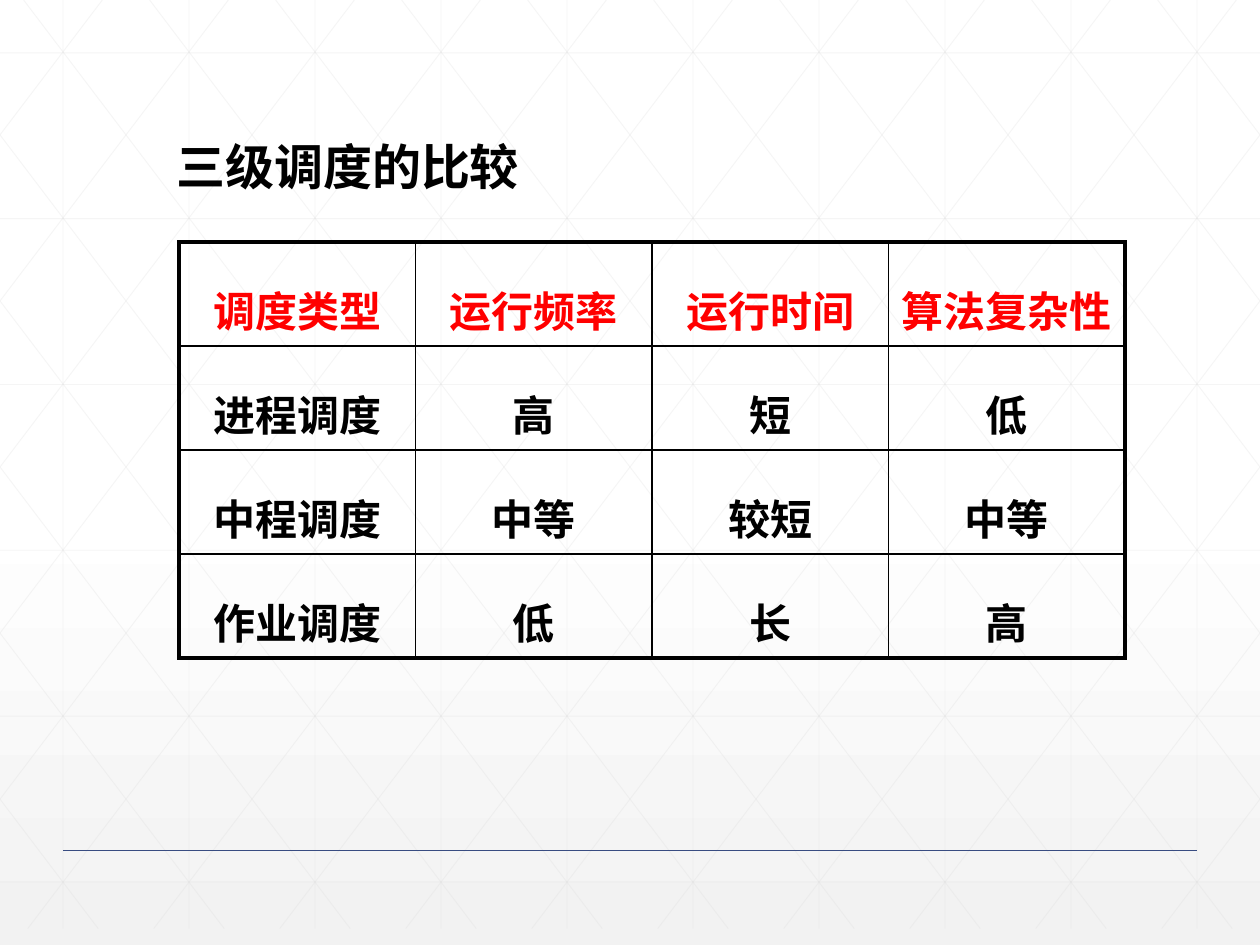
"""Build a slide with a table comparing the three levels of scheduling."""
from pptx import Presentation
from pptx.dml.color import RGBColor
from pptx.enum.shapes import MSO_CONNECTOR as Connector
from pptx.enum.text import MSO_ANCHOR as Anchor, MSO_AUTO_SIZE as AutoSize, PP_ALIGN as Align
from pptx.oxml import parse_xml
from pptx.oxml.ns import nsdecls, qn
from pptx.util import Pt

NS = nsdecls("a")
CJK = "Noto Sans CJK SC"
rgb = RGBColor.from_string


def write(frame, text, size, color="000000", font=CJK, align=Align.LEFT):
    frame.word_wrap = True
    frame.vertical_anchor = Anchor.MIDDLE
    paragraph = frame.paragraphs[0]
    paragraph.alignment = align
    paragraph.line_spacing = 1.5
    run = paragraph.add_run()
    run.text = text
    run.font.size, run.font.bold, run.font.name = Pt(size), True, font
    run.font.color.rgb = rgb(color)
    run.font._element.find(qn("a:latin")).addnext(parse_xml(f'<a:ea {NS} typeface="{CJK}"/>'))


def rule(x1, y1, x2, y2, color="D9D9D9", width=0.5, alpha=25):
    line = slide.shapes.add_connector(Connector.STRAIGHT, Pt(x1), Pt(y1), Pt(x2), Pt(y2))
    line.line.color.rgb = rgb(color)
    line.line.width = Pt(width)
    properties = line._element.spPr
    properties.append(parse_xml(f"<a:effectLst {NS}/>"))
    tint = properties.find(".//" + qn("a:srgbClr"))
    tint.append(parse_xml(f'<a:alpha {NS} val="{alpha * 1000}"/>'))


prs = Presentation()
prs.slide_width, prs.slide_height = Pt(720), Pt(540)
slide = prs.slides.add_slide(prs.slide_layouts[5])

backdrop = slide.background.fill
backdrop.gradient()
backdrop.gradient_angle = 270
for stop, position, color in zip(backdrop.gradient_stops, (0.53, 1), ("FFFFFF", "F2F2F2")):
    stop.position = position
    stop.color.rgb = rgb(color)

grid_width, grid_height, step = 720, 530.6, 72
diagonal_run = 402.6
slope = grid_height / diagonal_run
for column in range(10):
    x = 36 + column * step
    rule(x, 0, x, grid_height)
for row in range(6):
    y = 30.2 + row * 94.75
    rule(0, y, grid_width, y)
for diagonal in range(-5, 10):
    origin = 13.5 + diagonal * step
    start, end = max(origin, 0), min(origin + diagonal_run, grid_width)
    top, bottom = (start - origin) * slope, (end - origin) * slope
    rule(start, top, end, bottom)
    rule(grid_width - start, top, grid_width - end, bottom)

rule(36, 486, 684, 486, color="384C81", width=1, alpha=100)

schedulers = [
    ["调度类型", "运行频率", "运行时间", "算法复杂性"],
    ["进程调度", "高", "短", "低"],
    ["中程调度", "中等", "较短", "中等"],
    ["作业调度", "低", "长", "高"],
]
last = len(schedulers) - 1
comparison = slide.shapes.add_table(4, 4, Pt(102.2), Pt(138.2), Pt(540.8), Pt(174)).table
comparison.first_row = comparison.horz_banding = False
for column in comparison.columns:
    column.width = Pt(135.2)
for r, (row, values) in enumerate(zip(comparison.rows, schedulers)):
    row.height = Pt(41.7 if r == last else 39.6)
    for c, value in enumerate(values):
        cell = comparison.cell(r, c)
        cell.fill.background()
        write(cell.text_frame, value, 24, "000000" if r else "FF0000", align=Align.CENTER)
        outer_edges = {"L": c == 0, "R": c == last, "T": r == 0, "B": r == last}
        for order, (side, outer) in enumerate(outer_edges.items()):
            width = Pt(2.25 if outer else 1)
            cell._tc.get_or_add_tcPr().insert(order, parse_xml(
                f'<a:ln{side} {NS} w="{width}"><a:solidFill><a:srgbClr val="000000"/>'
                f"</a:solidFill></a:ln{side}>"))

title = slide.shapes.title
title.left, title.top, title.width, title.height = Pt(93.6), Pt(60.5), Pt(280), Pt(51.8)
title.text_frame.auto_size = AutoSize.NONE
write(title.text_frame, "三级调度的比较", 28, font="Arial")
slide.shapes._spTree.append(title._element)

prs.save("out.pptx")
